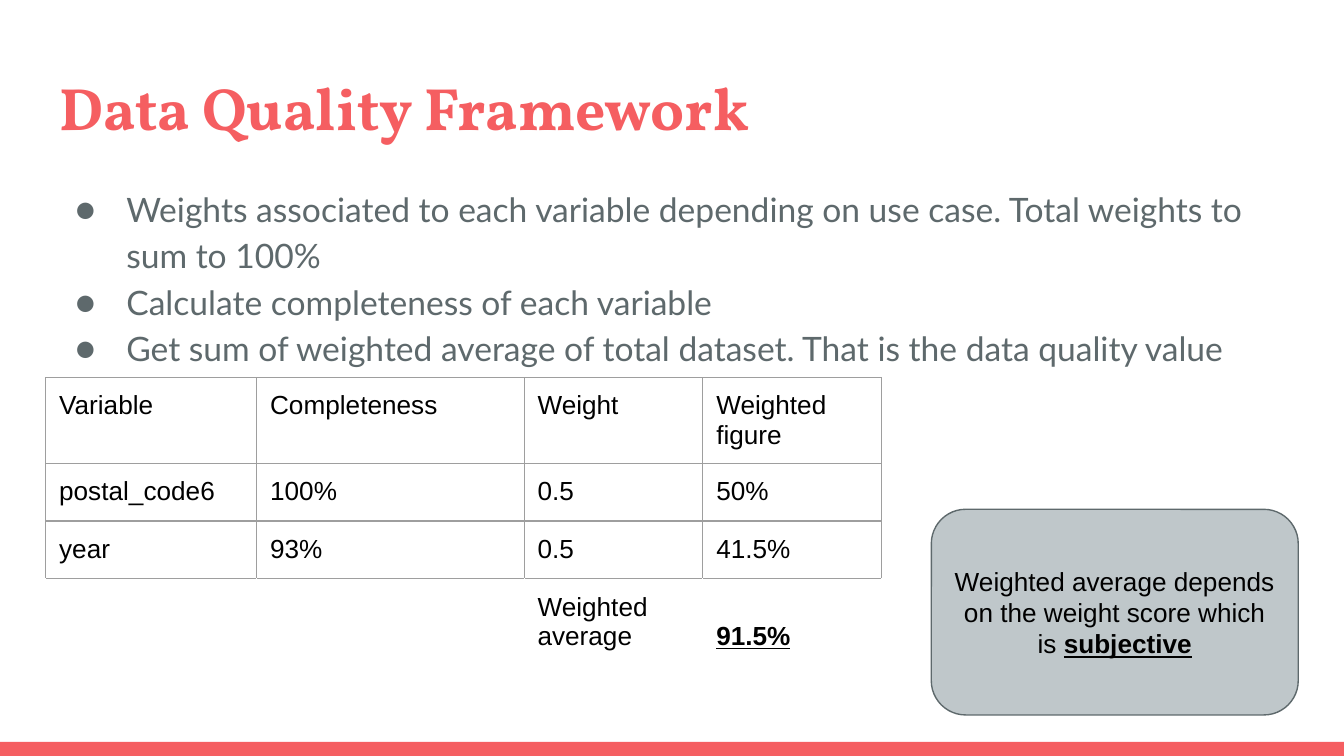
from dataclasses import dataclass

from lxml.etree import SubElement
from pptx import Presentation
from pptx.dml.color import RGBColor
from pptx.enum.shapes import MSO_SHAPE as Shape
from pptx.enum.text import MSO_ANCHOR as Anchor, MSO_AUTO_SIZE as AutoSize, PP_ALIGN as Align
from pptx.oxml import parse_xml
from pptx.oxml.ns import nsdecls, qn
from pptx.util import Inches, Pt


@dataclass(frozen=True)
class Theme:
    accent: str = "F55E61"
    slate: str = "5E696C"
    panel: str = "BFC7CA"
    grid: str = "9E9E9E"
    paper: str = "FFFFFF"
    ink: str = "000000"
    title_font: str = "Vollkorn"
    body_font: str = "Lato"
    plain_font: str = "Arial"
    title_size: int = 32
    body_size: int = 18
    plain_size: int = 14
    line_width: float = 0.75
    inset: float = 0.1


class SlideBuilder:
    def __init__(self, slide, theme):
        self.slide = slide
        self.theme = theme

    def format_run(self, run, font, size, color, bold=False, underline=False):
        run.font.name = font
        run.font.size = Pt(size)
        run.font.color.rgb = RGBColor.from_string(color)
        run.font.bold = bold
        run.font.underline = underline

    def format_plain(self, run, emphasis=False):
        theme = self.theme
        self.format_run(run, theme.plain_font, theme.plain_size, theme.ink, emphasis, emphasis)

    def set_margins(self, target):
        for side in ("left", "right", "top", "bottom"):
            setattr(target, f"margin_{side}", Inches(self.theme.inset))

    def place(self, placeholder, left, top, width, height):
        placeholder.left, placeholder.top = Inches(left), Inches(top)
        placeholder.width, placeholder.height = Inches(width), Inches(height)
        frame = placeholder.text_frame
        frame.word_wrap = True
        frame.auto_size = AutoSize.NONE
        frame.vertical_anchor = Anchor.TOP
        self.set_margins(frame)
        return frame

    def title(self, text, *box):
        frame = self.place(self.slide.shapes.title, *box)
        frame.text = text
        paragraph = frame.paragraphs[0]
        paragraph.alignment = Align.LEFT
        theme = self.theme
        self.format_run(paragraph.runs[0], theme.title_font, theme.title_size, theme.accent, True)

    def bullets(self, items, *box):
        theme = self.theme
        frame = self.place(self.slide.placeholders[1], *box)
        frame.text = "\n".join(items)
        for paragraph in frame.paragraphs:
            paragraph.line_spacing = 1.15
            paragraph.space_before = Pt(0)
            self.format_run(paragraph.runs[0], theme.body_font, theme.body_size, theme.slate)
            properties = paragraph._p.get_or_add_pPr()
            properties.set("marL", str(Inches(0.5)))
            properties.set("indent", str(Inches(-0.38)))
            color = SubElement(properties, qn("a:buClr"))
            SubElement(color, qn("a:srgbClr"), val=theme.slate)
            SubElement(properties, qn("a:buSzPts"), val=str(theme.body_size * 100))
            SubElement(properties, qn("a:buFont"), typeface=theme.body_font)
            SubElement(properties, qn("a:buChar"), char="●")

    def shape(self, kind, left, top, width, height, fill, line=None):
        shape = self.slide.shapes.add_shape(
            kind, Inches(left), Inches(top), Inches(width), Inches(height))
        shape.shadow.inherit = False
        shape.fill.solid()
        shape.fill.fore_color.rgb = RGBColor.from_string(fill)
        if line:
            shape.line.color.rgb = RGBColor.from_string(line)
            shape.line.width = Pt(self.theme.line_width)
        else:
            shape.line.fill.background()
        return shape

    def callout(self, text, emphasis, *box):
        shape = self.shape(Shape.ROUNDED_RECTANGLE, *box, self.theme.panel, self.theme.slate)
        frame = shape.text_frame
        frame.word_wrap = True
        frame.vertical_anchor = Anchor.MIDDLE
        self.set_margins(frame)
        frame.text = text
        paragraph = frame.paragraphs[0]
        paragraph.alignment = Align.CENTER
        self.format_plain(paragraph.runs[0])
        run = paragraph.add_run()
        run.text = emphasis
        self.format_plain(run, True)

    def cell_borders(self, cell, side_color, top_color, bottom_color):
        colors = {"L": side_color, "R": side_color, "T": top_color, "B": bottom_color}
        for index, (side, color) in enumerate(colors.items()):
            border = parse_xml(
                f'<a:ln{side} {nsdecls("a")} w="{Pt(self.theme.line_width)}">'
                f'<a:solidFill><a:srgbClr val="{color}"/></a:solidFill></a:ln{side}>')
            cell._tc.get_or_add_tcPr().insert(index, border)

    def table(self, rows, left, top, widths, heights):
        theme = self.theme
        table = self.slide.shapes.add_table(
            len(rows), len(widths), Inches(left), Inches(top),
            Inches(sum(widths)), Inches(sum(heights))).table
        table.first_row = table.horz_banding = False
        for column, width in zip(table.columns, widths):
            column.width = Inches(width)
        for row, height in zip(table.rows, heights):
            row.height = Inches(height)
        last = len(rows) - 1
        for row_index, values in enumerate(rows):
            is_total = row_index == last
            edge = theme.paper if is_total else theme.grid
            for column_index, value in enumerate(values):
                cell = table.cell(row_index, column_index)
                cell.fill.background()
                self.set_margins(cell)
                self.cell_borders(cell, edge, theme.grid, edge)
                cell.text = value
                is_result = is_total and column_index == len(widths) - 1
                if is_result:
                    cell.vertical_anchor = Anchor.BOTTOM
                for run in cell.text_frame.paragraphs[0].runs:
                    self.format_plain(run, is_result)


def main():
    presentation = Presentation()
    presentation.slide_width = Inches(10)
    presentation.slide_height = presentation.slide_width * 9 // 16
    theme = Theme()
    builder = SlideBuilder(presentation.slides.add_slide(presentation.slide_layouts[1]), theme)

    # Footer bar
    builder.shape(Shape.RECTANGLE, 0, 5.52, 10, 0.11, theme.accent)

    # Title and method
    builder.title("Data Quality Framework", 0.34, 0.43, 9.32, 0.68)
    builder.bullets([
        "Weights associated to each variable depending on use case. Total weights to sum to 100%",
        "Calculate completeness of each variable",
        "Get sum of weighted average of total dataset. That is the data quality value",
    ], 0.34, 1.26, 9.32, 3.74)

    # Worked example
    builder.table([
        ["Variable", "Completeness", "Weight", "Weighted figure"],
        ["postal_code6", "100%", "0.5", "50%"],
        ["year", "93%", "0.5", "41.5%"],
        ["", "", "Weighted average", "91.5%"],
    ], 0.34, 2.81, [1.57, 1.99, 1.33, 1.33], [0.42, 0.43, 0.43, 0.43])

    # Caveat
    builder.callout("Weighted average depends on the weight score which is ", "subjective",
                    6.93, 3.79, 2.73, 1.53)

    presentation.save("out.pptx")


if __name__ == "__main__":
    main()
